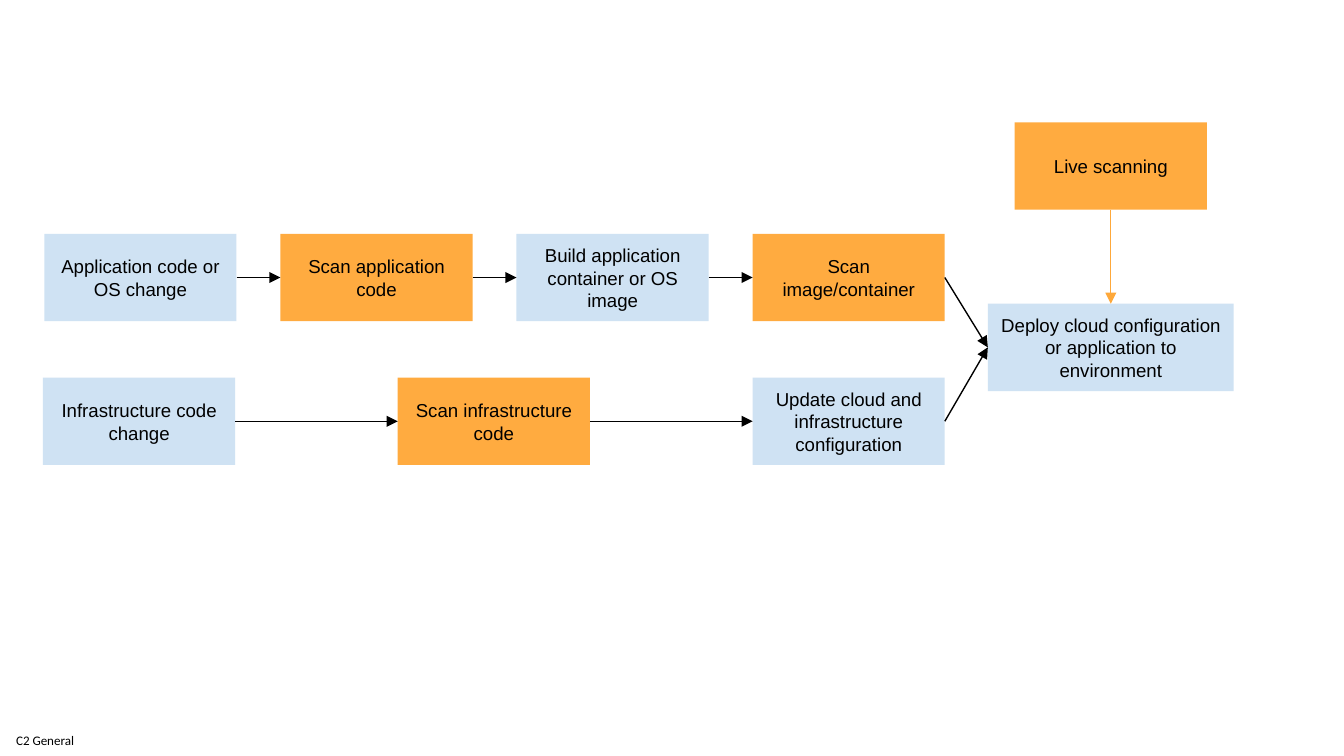
from lxml.etree import SubElement
from pptx import Presentation
from pptx.dml.color import RGBColor
from pptx.enum.shapes import MSO_CONNECTOR, MSO_SHAPE
from pptx.enum.text import MSO_ANCHOR, PP_ALIGN
from pptx.oxml.ns import qn
from pptx.util import Inches, Pt

BLACK = RGBColor(0x00, 0x00, 0x00)
BLUE = RGBColor(0xCF, 0xE2, 0xF3)
ORANGE = RGBColor(0xFF, 0xAB, 0x40)
ARROW_ORANGE = RGBColor(0xFE, 0xA8, 0x3A)

STEP_WIDTH, STEP_HEIGHT = 1.43, 0.65
TOP, LEFT, BOTTOM, RIGHT = range(4)  # connection sites of a rectangle


def write_text(shape, text, font="Arial", size=10, align=PP_ALIGN.CENTER,
               inset_x=0.1, inset_y=0.1):
    frame = shape.text_frame
    frame.word_wrap = True
    frame.vertical_anchor = MSO_ANCHOR.MIDDLE
    frame.margin_left = frame.margin_right = Inches(inset_x)
    frame.margin_top = frame.margin_bottom = Inches(inset_y)
    paragraph = frame.paragraphs[0]
    paragraph.alignment = align
    run = paragraph.add_run()
    run.text = text
    run.font.name = font
    run.font.size = Pt(size)
    run.font.color.rgb = BLACK


def add_step(slide, text, color, left, top, width=STEP_WIDTH):
    shape = slide.shapes.add_shape(
        MSO_SHAPE.RECTANGLE, Inches(left), Inches(top), Inches(width), Inches(STEP_HEIGHT))
    shape.shadow.inherit = False
    shape.fill.solid()
    shape.fill.fore_color.rgb = color
    shape.line.fill.background()
    write_text(shape, text)
    return shape


def add_arrow(slide, start, end, start_site=RIGHT, end_site=LEFT, color=BLACK):
    arrow = slide.shapes.add_connector(MSO_CONNECTOR.STRAIGHT, 0, 0, 0, 0)
    arrow.begin_connect(start, start_site)
    arrow.end_connect(end, end_site)
    arrow.line.color.rgb = color
    arrow.line.width = Pt(0.75)
    # Arrowhead, and no shadow
    SubElement(arrow.line._get_or_add_ln(), qn("a:tailEnd"), type="triangle")
    SubElement(arrow._element.spPr, qn("a:effectLst"))


def add_pipeline(slide, steps, left, top, width):
    """Spread the steps evenly over the width, join them and return the last."""
    pitch = (width - STEP_WIDTH) / (len(steps) - 1)
    shapes = [add_step(slide, text, color, left + index * pitch, top)
              for index, (text, color) in enumerate(steps)]
    for start, end in zip(shapes, shapes[1:]):
        add_arrow(slide, start, end)
    return shapes[-1]


def add_deployment(slide, left, top, width):
    """Place live scanning centred above the deployment and return the latter."""
    scanning = add_step(slide, "Live scanning", ORANGE,
                        left + (width - STEP_WIDTH) / 2, top)
    deployment = add_step(
        slide, "Deploy cloud configuration or application to environment",
        BLUE, left, top + 1.35, width)
    add_arrow(slide, scanning, deployment, BOTTOM, TOP, ARROW_ORANGE)
    return deployment


def add_classification(slide, left, top, width, height):
    box = slide.shapes.add_textbox(Inches(left), Inches(top), Inches(width), Inches(height))
    write_text(box, "C2 General", font="Calibri", size=7, align=PP_ALIGN.LEFT,
               inset_x=0.12, inset_y=0)


APPLICATION_STEPS = [
    ("Application code or OS change", BLUE),
    ("Scan application code", ORANGE),
    ("Build application container or OS image", BLUE),
    ("Scan image/container", ORANGE),
]
INFRASTRUCTURE_STEPS = [
    ("Infrastructure code change", BLUE),
    ("Scan infrastructure code", ORANGE),
    ("Update cloud and infrastructure configuration", BLUE),
]

# Widescreen slide, 16:9
presentation = Presentation()
presentation.slide_width = Inches(10)
presentation.slide_height = Inches(10 * 9 / 16)
slide = presentation.slides.add_slide(presentation.slide_layouts[6])

add_classification(slide, 0, 5.39, 0.68, 0.23)

# Two pipelines that meet in one deployment
pipeline_ends = [
    add_pipeline(slide, APPLICATION_STEPS, 0.33, 1.74, 6.7),
    add_pipeline(slide, INFRASTRUCTURE_STEPS, 0.32, 2.81, 6.71),
]
deployment = add_deployment(slide, 7.35, 0.91, 1.83)
for pipeline_end in pipeline_ends:
    add_arrow(slide, pipeline_end, deployment)

presentation.save("out.pptx")
